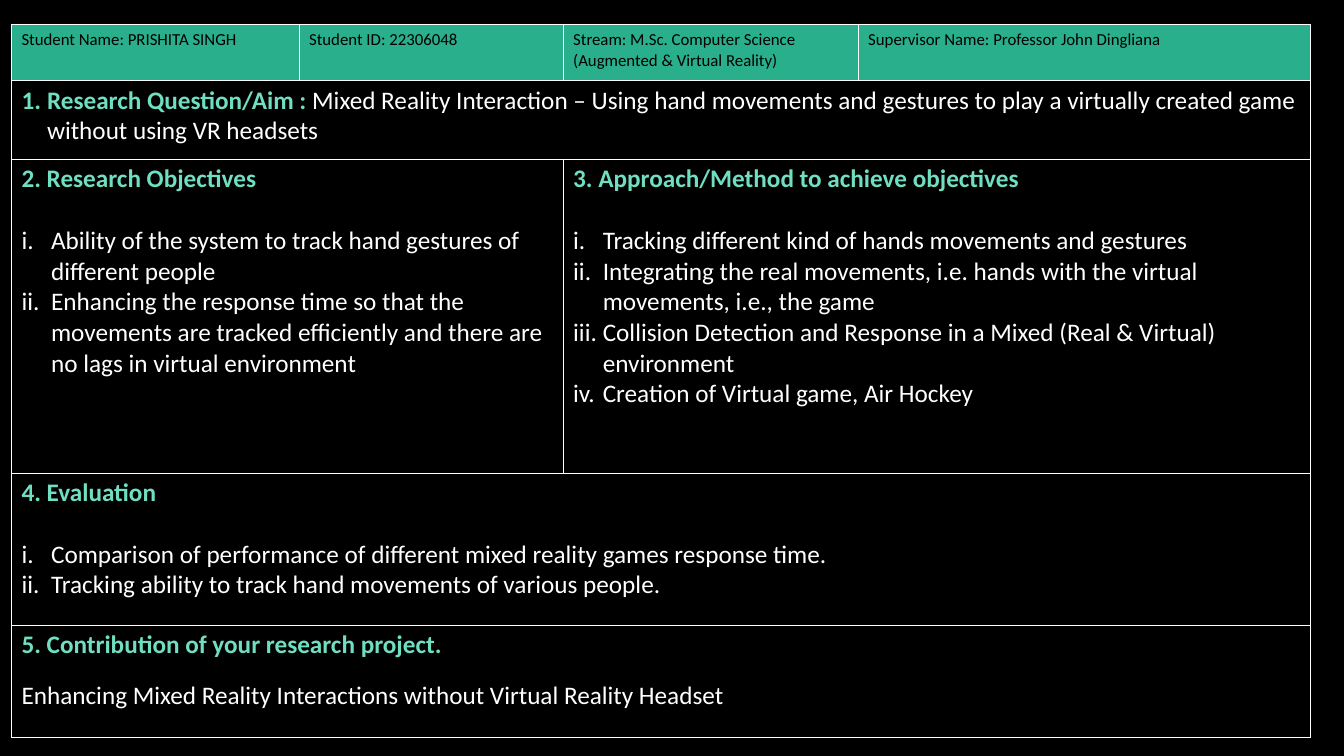
from lxml.etree import SubElement
from pptx import Presentation
from pptx.dml.color import RGBColor
from pptx.oxml import parse_xml
from pptx.oxml.ns import nsdecls, qn
from pptx.util import Inches, Pt

BLACK = RGBColor(0x00, 0x00, 0x00)
WHITE = RGBColor(0xFF, 0xFF, 0xFF)
GREEN = RGBColor(0x29, 0xAF, 0x8C)
MINT = RGBColor(0x70, 0xDE, 0xC1)

FONT = "Calibri"
SMALL, LARGE = 18, 27
COLUMN_WIDTHS = [4.28, 3.93, 4.39, 6.73]
ROW_HEIGHTS = [0.83, 1.17, 4.67, 2.26, 1.67]

STUDENT_DETAILS = [
    ["Student Name: PRISHITA SINGH"],
    ["Student ID: 22306048"],
    ["Stream: M.Sc. Computer Science", "(Augmented & Virtual Reality)"],
    ["Supervisor Name: Professor John Dingliana"],
]
AIM = ("Mixed Reality Interaction – Using hand movements and gestures to play "
       "a virtually created game without using VR headsets")
# Row, first column, last column, heading, numbered items
LIST_SECTIONS = [
    (2, 0, 1, "2. Research Objectives", [
        "Ability of the system to track hand gestures of different people",
        "Enhancing the response time so that the movements are tracked "
        "efficiently and there are no lags in virtual environment",
    ]),
    (2, 2, 3, "3. Approach/Method to achieve objectives", [
        "Tracking different kind of hands movements and gestures",
        "Integrating the real movements, i.e. hands with the virtual "
        "movements, i.e., the game",
        "Collision Detection and Response in a Mixed (Real & Virtual) environment",
        "Creation of Virtual game, Air Hockey",
    ]),
    (3, 0, 3, "4. Evaluation", [
        "Comparison of performance of different mixed reality games response time.",
        "Tracking ability to track hand movements of various people.",
    ]),
]
CONTRIBUTION = "Enhancing Mixed Reality Interactions without Virtual Reality Headset"


def add_border(cell):
    """Draw a thin white line on each side of a cell."""
    properties = cell._tc.get_or_add_tcPr()
    for position, side in enumerate(["lnL", "lnR", "lnT", "lnB"]):
        line = parse_xml(
            f'<a:{side} {nsdecls("a")} w="{Pt(1)}"><a:solidFill>'
            f'<a:srgbClr val="{WHITE}"/></a:solidFill></a:{side}>')
        properties.insert(position, line)


def format_cell(cell, color):
    cell.margin_left = cell.margin_right = Inches(0.15)
    cell.margin_top = cell.margin_bottom = Inches(0.07)
    cell.fill.solid()
    cell.fill.fore_color.rgb = color
    add_border(cell)


def add_run(para, text, color, size=LARGE, bold=False):
    span = para.add_run()
    span.text = text
    span.font.name = FONT
    span.font.size = Pt(size)
    span.font.bold = bold
    span.font.color.rgb = color


def number_para(para, scheme, indent):
    """Give a paragraph automatic numbers with a hanging indent."""
    properties = para._p.get_or_add_pPr()
    properties.set("marL", str(Inches(indent)))
    properties.set("indent", str(-Inches(indent)))
    SubElement(properties, qn("a:buFont"), typeface="+mj-lt")
    SubElement(properties, qn("a:buAutoNum"), type=scheme)


def add_heading(cell, text, gap):
    para = cell.text_frame.paragraphs[0]
    para.space_after = Pt(gap)
    add_run(para, text, MINT, bold=True)


def add_table(page):
    frame = page.shapes.add_table(
        len(ROW_HEIGHTS), len(COLUMN_WIDTHS), Inches(0.17), Inches(0.37),
        Inches(sum(COLUMN_WIDTHS)), Inches(sum(ROW_HEIGHTS)))
    table = frame.table
    table.first_row = table.horz_banding = False
    for column, width in zip(table.columns, COLUMN_WIDTHS):
        column.width = Inches(width)
    for number, (row, height) in enumerate(zip(table.rows, ROW_HEIGHTS)):
        row.height = Inches(height)
        for cell in row.cells:
            format_cell(cell, BLACK if number else GREEN)
    return table


def merge_cells(table, row, first, last):
    cell = table.cell(row, first)
    cell.merge(table.cell(row, last))
    return cell


def fill_details(table):
    for column, lines in enumerate(STUDENT_DETAILS):
        frame = table.cell(0, column).text_frame
        for number, line in enumerate(lines):
            para = frame.add_paragraph() if number else frame.paragraphs[0]
            add_run(para, line, BLACK, SMALL)


def fill_aim(table):
    para = merge_cells(table, 1, 0, 3).text_frame.paragraphs[0]
    number_para(para, "arabicPeriod", 0.38)
    add_run(para, "Research Question/Aim : ", MINT, bold=True)
    add_run(para, AIM, WHITE)


def fill_list(table, row, first, last, heading, items):
    cell = merge_cells(table, row, first, last)
    add_heading(cell, heading, gap=33)
    for item in items:
        para = cell.text_frame.add_paragraph()
        number_para(para, "romanLcPeriod", 0.44)
        add_run(para, item, WHITE)


def fill_contribution(table):
    cell = merge_cells(table, 4, 0, 3)
    add_heading(cell, "5. Contribution of your research project.", gap=22)
    add_run(cell.text_frame.add_paragraph(), CONTRIBUTION, WHITE)


def main():
    deck = Presentation()
    deck.slide_width, deck.slide_height = Inches(20), Inches(11.25)
    page = deck.slides.add_slide(deck.slide_layouts[6])
    page.background.fill.solid()
    page.background.fill.fore_color.rgb = BLACK

    # Research plan, one table row per part
    table = add_table(page)
    fill_details(table)
    fill_aim(table)
    for section in LIST_SECTIONS:
        fill_list(table, *section)
    fill_contribution(table)

    deck.save("out.pptx")


if __name__ == "__main__":
    main()
